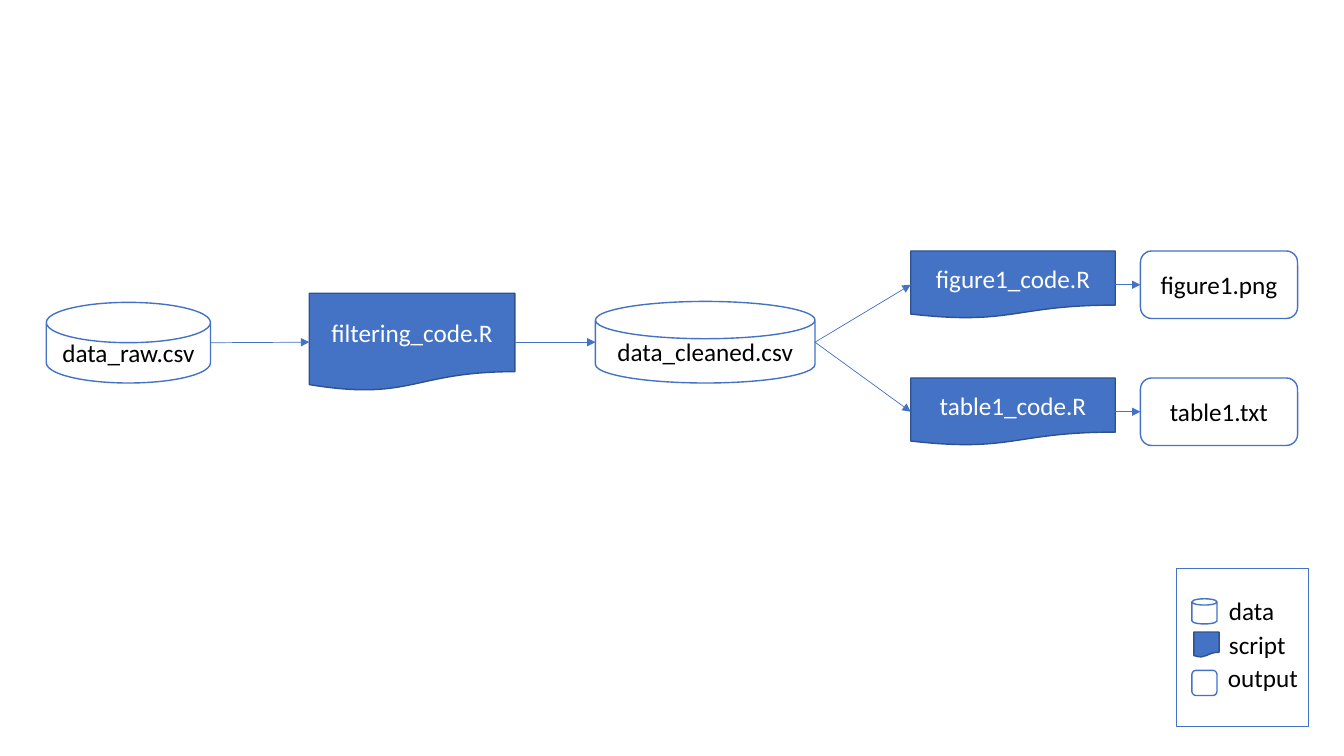
from dataclasses import dataclass

from lxml import etree
from pptx import Presentation
from pptx.dml.color import RGBColor
from pptx.enum.shapes import MSO_CONNECTOR, MSO_SHAPE
from pptx.enum.text import MSO_ANCHOR, MSO_AUTO_SIZE, PP_ALIGN
from pptx.oxml.ns import qn
from pptx.util import Inches, Pt

CAN = MSO_SHAPE.CAN
DOCUMENT = MSO_SHAPE.FLOWCHART_DOCUMENT
ROUNDED = MSO_SHAPE.ROUNDED_RECTANGLE
RECTANGLE = MSO_SHAPE.RECTANGLE
STRAIGHT = MSO_CONNECTOR.STRAIGHT
MIDDLE = MSO_ANCHOR.MIDDLE
FIT_SHAPE = MSO_AUTO_SIZE.SHAPE_TO_FIT_TEXT
LEFT, CENTER = PP_ALIGN.LEFT, PP_ALIGN.CENTER


@dataclass(frozen=True)
class Theme:
    blue: RGBColor = RGBColor(0x44, 0x72, 0xC4)
    dark_blue: RGBColor = RGBColor(0x2F, 0x52, 0x8F)
    white: RGBColor = RGBColor(0xFF, 0xFF, 0xFF)
    black: RGBColor = RGBColor(0, 0, 0)
    font: str = "Calibri"
    text_size: Pt = Pt(18)
    outline: Pt = Pt(1)
    arrow: Pt = Pt(0.5)


theme = Theme()


def add_box(kind, left, top, width, height, adj=None):
    """Add a shape in the style of its kind: scripts are blue, the rest white."""
    sp = s.shapes.add_shape(kind, Inches(left), Inches(top), Inches(width), Inches(height))
    sp.shadow.inherit = False
    if adj is not None:
        sp.adjustments[0] = adj
    is_script = kind == DOCUMENT
    sp.fill.solid()
    sp.fill.fore_color.rgb = theme.blue if is_script else theme.white
    sp.line.color.rgb = theme.dark_blue if is_script else theme.blue
    sp.line.width = theme.outline
    return sp


def write(sp, text, color, align):
    p = sp.text_frame.paragraphs[0]
    p.text = text
    p.alignment = align
    p.font.name = theme.font
    p.font.size = theme.text_size
    p.font.color.rgb = color


prs = Presentation()
prs.slide_width, prs.slide_height = Inches(13.34), Inches(7.5)
s = prs.slides.add_slide(prs.slide_layouts[6])

# Flow steps: text, kind, left, top, width, height, adjustment
steps = [
    ("filtering_code.R", DOCUMENT, 3.07, 2.91, 2.04, 0.97, None),
    ("data_raw.csv", CAN, 0.46, 3, 1.63, 0.8, 0.665),
    ("data_cleaned.csv", CAN, 5.91, 2.99, 2.18, 0.81, 0.457),
]
for name, output, top in [("figure1", "figure1.png", 2.49), ("table1", "table1.txt", 3.75)]:
    steps.append((f"{name}_code.R", DOCUMENT, 9.04, top, 2.03, 0.67, None))
    steps.append((output, ROUNDED, 11.32, top, 1.56, 0.67, 0.167))

boxes = {}
for text, kind, *place in steps:
    sp = add_box(kind, *place)
    sp.text_frame.word_wrap = True
    sp.text_frame.vertical_anchor = MIDDLE
    write(sp, text, theme.white if kind == DOCUMENT else theme.black, CENTER)
    boxes[text] = sp

raw_frame = boxes["data_raw.csv"].text_frame
raw_frame.margin_top = raw_frame.margin_bottom = Inches(-0.05)

# Arrows run from the right middle of one step to the left middle of the next
for source, target in [
    ("data_cleaned.csv", "figure1_code.R"),
    ("data_cleaned.csv", "table1_code.R"),
    ("figure1_code.R", "figure1.png"),
    ("table1_code.R", "table1.txt"),
    ("data_raw.csv", "filtering_code.R"),
    ("filtering_code.R", "data_cleaned.csv"),
]:
    a, b = boxes[source], boxes[target]
    arrow = s.shapes.add_connector(
        STRAIGHT, a.left + a.width, a.top + a.height // 2, b.left, b.top + b.height // 2)
    arrow.line.color.rgb = theme.blue
    arrow.line.width = theme.arrow
    etree.SubElement(arrow.line._get_or_add_ln(), qn("a:tailEnd"), type="triangle")
    etree.SubElement(arrow._element.spPr, qn("a:effectLst"))

# Legend: label, kind, icon left, icon top, adjustment, label left, label width
legend = [
    ("data", CAN, 11.83, 5.94, 0.25, 12.1, 0.65),
    ("script", DOCUMENT, 11.85, 6.27, None, 12.1, 0.76),
    ("output", ROUNDED, 11.83, 6.65, 0.167, 12.09, 0.89),
]
for row, (label, kind, left, top, adj, label_left, label_width) in enumerate(legend):
    add_box(kind, left, top, 0.25, 0.25, adj)
    tb = s.shapes.add_textbox(
        Inches(label_left), Inches(5.86 + 0.33 * row), Inches(label_width), Inches(0.4))
    tb.text_frame.word_wrap = False
    tb.text_frame.auto_size = FIT_SHAPE
    write(tb, label, theme.black, LEFT)

frame = add_box(RECTANGLE, 11.68, 5.64, 1.31, 1.57)
frame.fill.background()

prs.save("out.pptx")
